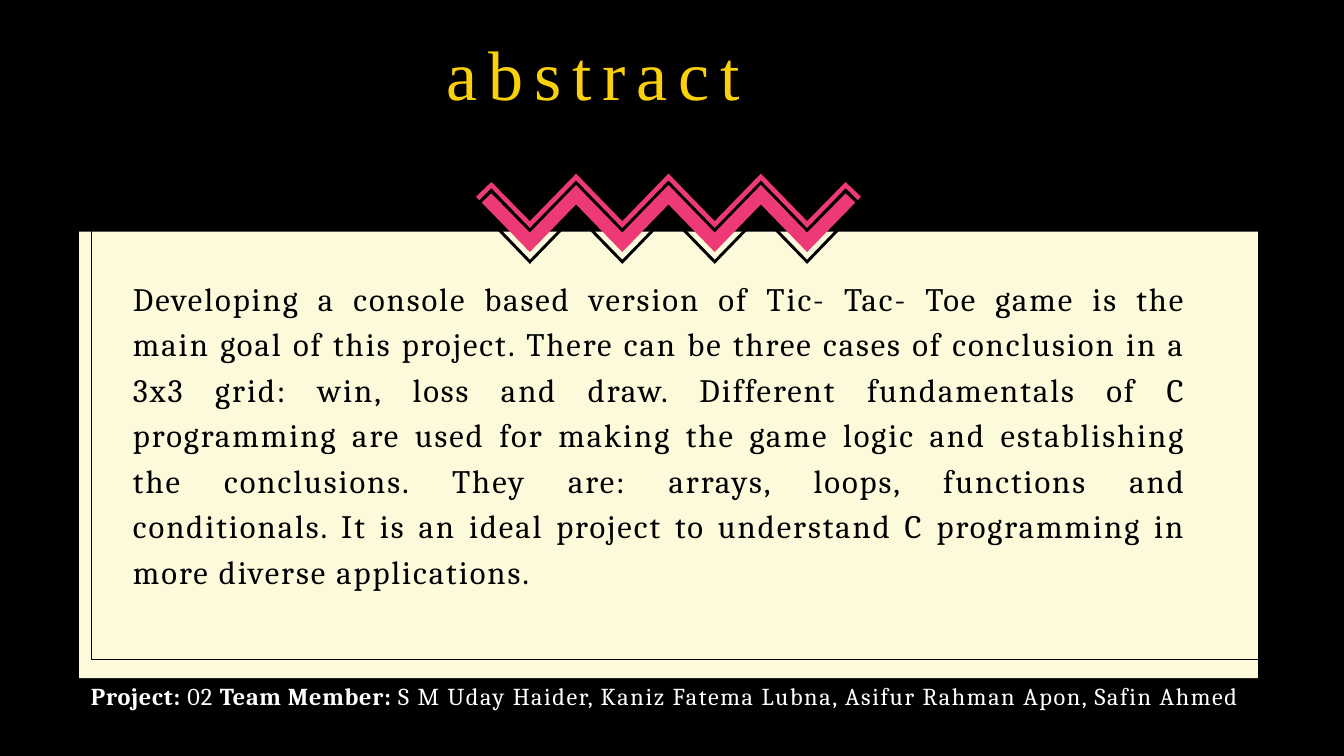
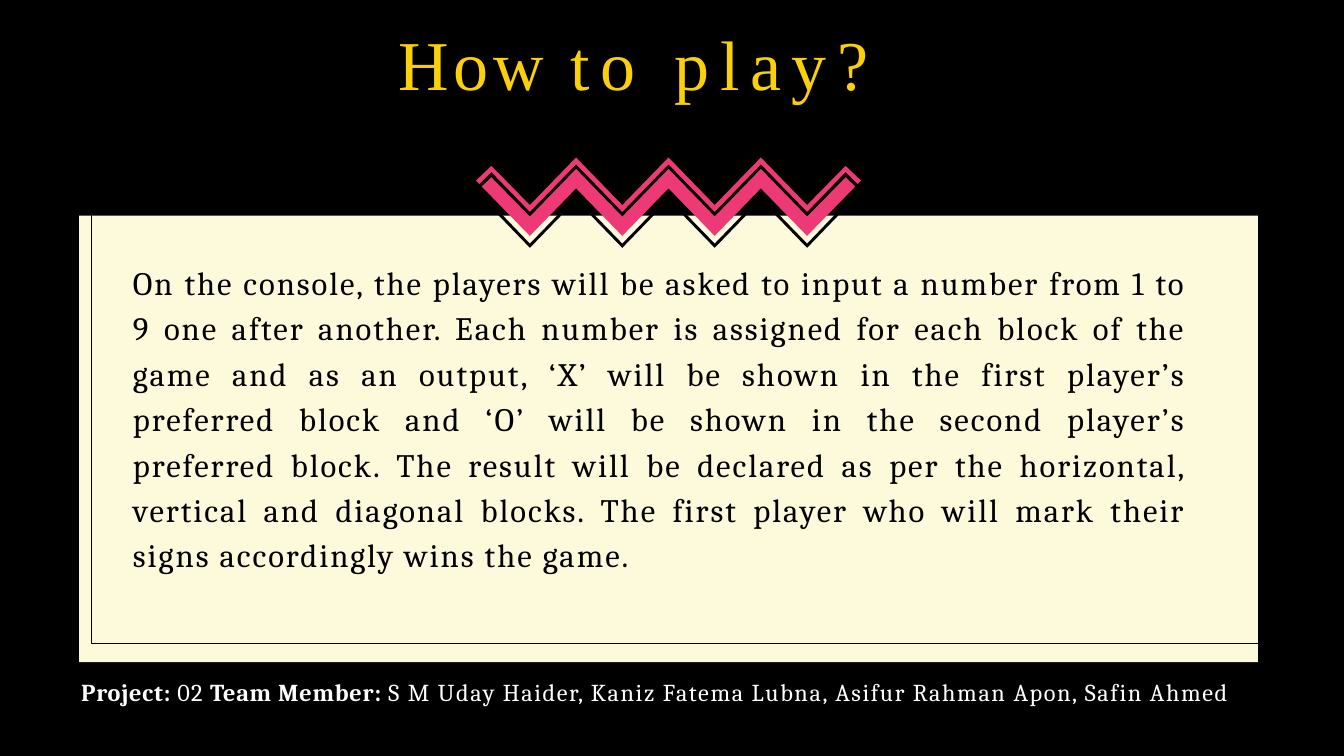
from pptx import Presentation
from pptx import util as u
from pptx.dml.color import RGBColor
from pptx.enum import shapes, text

PX = 9525
COLORS = {"black": "000000", "cream": "FDFADB", "pink": "ED3975",
          "yellow": "F9D009", "white": "FFFFFF"}
TITLE_FONT = "Times New Roman"
BODY_FONT = "Cambria"

PANEL_LEFT, PANEL_WIDTH, PANEL_HEIGHT = 113, 1684, 638
ZIGZAG_CENTER, ZIGZAG_RISE = 842, 83
ZIGZAG_STEP, ZIGZAG_DEPTH = 66, 68

FOOTER_RUNS = [
    ("Project: ", 0.8, True),
    ("02 ", 1.2, False),
    ("Team Member: ", 0.8, True),
    ("S M Uday Haider, Kaniz Fatema Lubna, Asifur Rahman Apon, Safin Ahmed", 1.7, False),
]

SLIDES = [
    {
        "title": [("abstract", 11.7, False)],
        "title_box": (638, 42, 661, 123),
        "panel_top": 331,
        "body": "Developing a console based version of Tic- Tac- Toe game is the\n"
                "main goal of this project. There can be three cases of conclusion in a\n"
                "3x3 grid: win, loss and draw. Different fundamentals of C\n"
                "programming are used for making the game logic and establishing\n"
                "the conclusions. They are: arrays, loops, functions and\n"
                "conditionals. It is an ideal project to understand C programming in\n"
                "more diverse applications.",
        "footer_box": (130, 972, 1701, 45),
        "footer_inset": 0,
    },
    {
        "title": [("How ", 5, False), ("to play?", 11.5, False)],
        "title_box": (569, 29, 945, 123),
        "panel_top": 308,
        "body": "On the console, the players will be asked to input a number from 1 to "
                "9 one after another. Each number is assigned for each block of the "
                "game and as an output, ‘X’ will be shown in the first player’s "
                "preferred block and ‘O’ will be shown in the second player’s "
                "preferred block. The result will be declared as per the horizontal, "
                "vertical and diagonal blocks. The first player who will mark their "
                "signs accordingly wins the game.",
        "footer_box": (56, 967, 1760, 46),
        "footer_inset": 60,
    },
]


def rgb(name):
    return RGBColor.from_string(COLORS[name])


def px(*lengths):
    return [u.Emu(length * PX) for length in lengths]


def add_text(slide, box, runs, font_name, size, color, space_before, inset=0):
    shape = slide.shapes.add_textbox(*px(*box))
    frame = shape.text_frame
    frame.word_wrap = True
    frame.margin_left, frame.margin_top, frame.margin_right, frame.margin_bottom = px(inset, 1, 0, 0)
    paragraph = frame.paragraphs[0]
    paragraph.space_before = u.Pt(space_before)
    paragraph.font.name = font_name
    paragraph.font.size = u.Pt(size)
    paragraph.font.color.rgb = rgb(color)
    for words, spacing, bold in runs:
        for number, line in enumerate(words.split("\n")):
            if number:
                paragraph.add_line_break()
            run = paragraph.add_run()
            run.text = line
            if bold:
                run.font.bold = True
            run._r.get_or_add_rPr().set("spc", str(round(spacing * 100)))
    return paragraph


def add_rectangle(slide, box, fill=None, line=None):
    shape = slide.shapes.add_shape(shapes.MSO_SHAPE.RECTANGLE, *px(*box))
    shape.shadow.inherit = False
    if fill:
        shape.fill.solid()
        shape.fill.fore_color.rgb = rgb(fill)
    else:
        shape.fill.background()
    if line:
        shape.line.color.rgb = rgb(line)
        shape.line.width = u.Pt(0.75)
    else:
        shape.line.fill.background()


def zigzag_edge(peak, end):
    reach, end_y = end
    limit = 3 * ZIGZAG_STEP + reach
    corners = [(i * ZIGZAG_STEP, peak + ZIGZAG_DEPTH * (i % 2)) for i in range(-3, 4)]
    return [(-limit, end_y), *corners, (limit, end_y)]


def zigzag_band(upper_peak, upper_end, lower_peak, lower_end):
    return zigzag_edge(upper_peak, upper_end) + zigzag_edge(lower_peak, lower_end)[::-1]


def add_zigzag(slide, center, top, bands, color):
    builder = slide.shapes.build_freeform(*bands[0][0], scale=PX)
    builder.add_line_segments(bands[0][1:], close=True)
    for band in bands[1:]:
        builder.move_to(*band[0])
        builder.add_line_segments(band[1:], close=True)
    shape = builder.convert_to_shape(*px(center, top))
    shape.shadow.inherit = False
    shape.fill.solid()
    shape.fill.fore_color.rgb = rgb(color)
    shape.line.fill.background()


def add_ornament(slide, center, top):
    ribbon = zigzag_band(0, (55, 12), 44, (77, 33))
    outline = [zigzag_band(10, (55, 21), 61, (80, 46)),
               zigzag_band(16, (55, 28), 55, (74, 46))]
    add_zigzag(slide, center, top, [ribbon], "pink")
    add_zigzag(slide, center, top, outline, "black")


def add_panel(slide, left, top, body):
    add_rectangle(slide, (left, top, PANEL_WIDTH, PANEL_HEIGHT), fill="cream")
    add_rectangle(slide, (left + 17, top - 27, PANEL_WIDTH - 8, PANEL_HEIGHT), line="black")
    add_ornament(slide, left + ZIGZAG_CENTER, top - ZIGZAG_RISE)
    paragraph = add_text(slide, (left + 77, top + 57, 1506, 460), [(body, 2.1, False)],
                         BODY_FONT, 35, "black", 0.7)
    paragraph.alignment = text.PP_ALIGN.JUSTIFY
    paragraph.line_spacing = 1.16


def add_content_slide(presentation, content):
    slide = presentation.slides.add_slide(presentation.slide_layouts[6])
    slide.background.fill.solid()
    slide.background.fill.fore_color.rgb = rgb("black")
    add_panel(slide, PANEL_LEFT, content["panel_top"], content["body"])
    add_text(slide, content["title_box"], content["title"], TITLE_FONT, 75, "yellow", 1.1)
    add_text(slide, content["footer_box"], FOOTER_RUNS, BODY_FONT, 26, "white", 1.2,
             content["footer_inset"])


def main():
    presentation = Presentation()
    presentation.slide_width, presentation.slide_height = px(1920, 1080)
    for content in SLIDES:
        add_content_slide(presentation, content)
    presentation.save("out.pptx")


if __name__ == "__main__":
    main()
